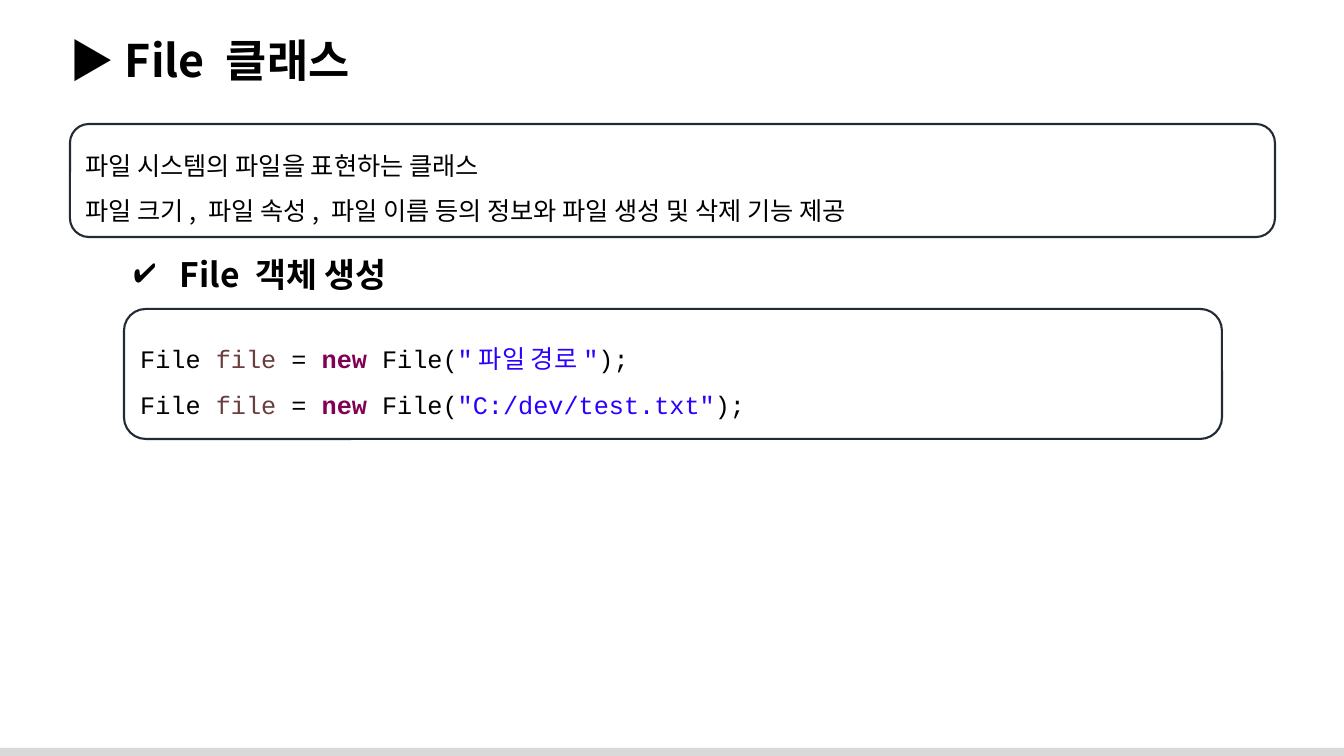
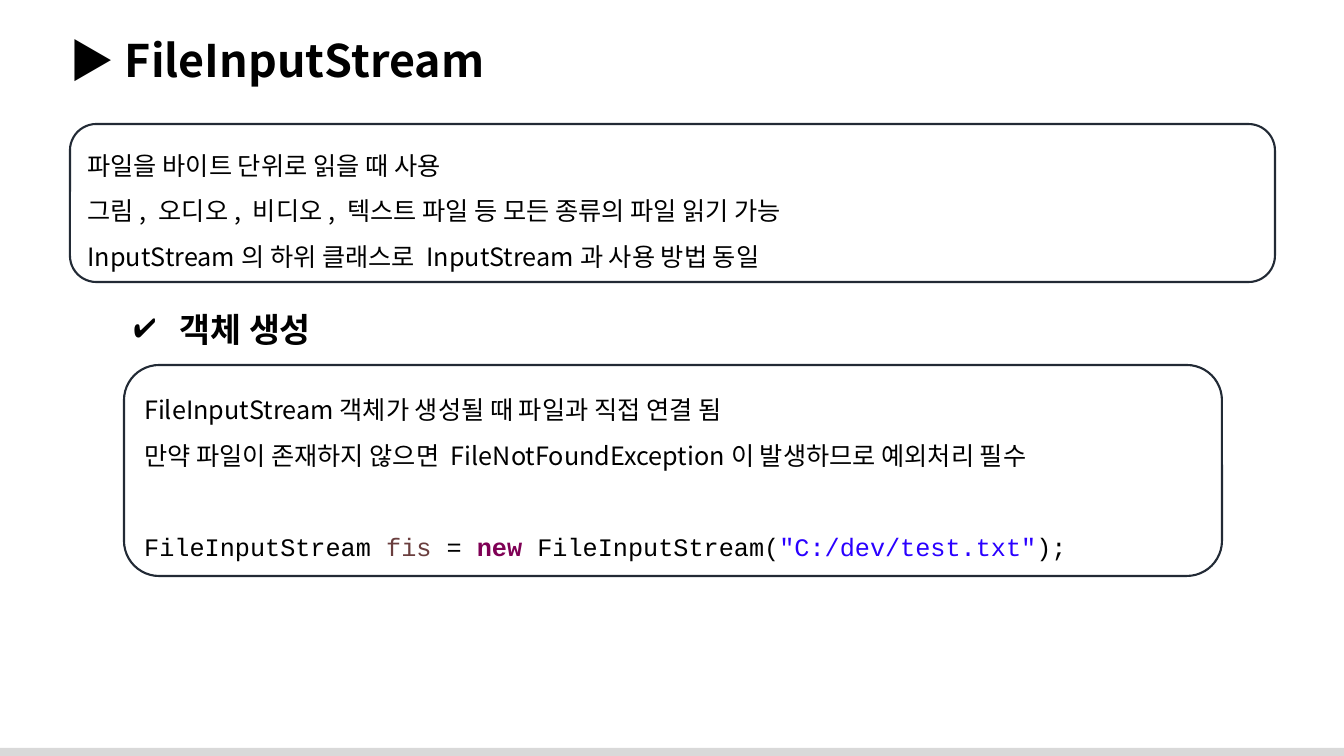
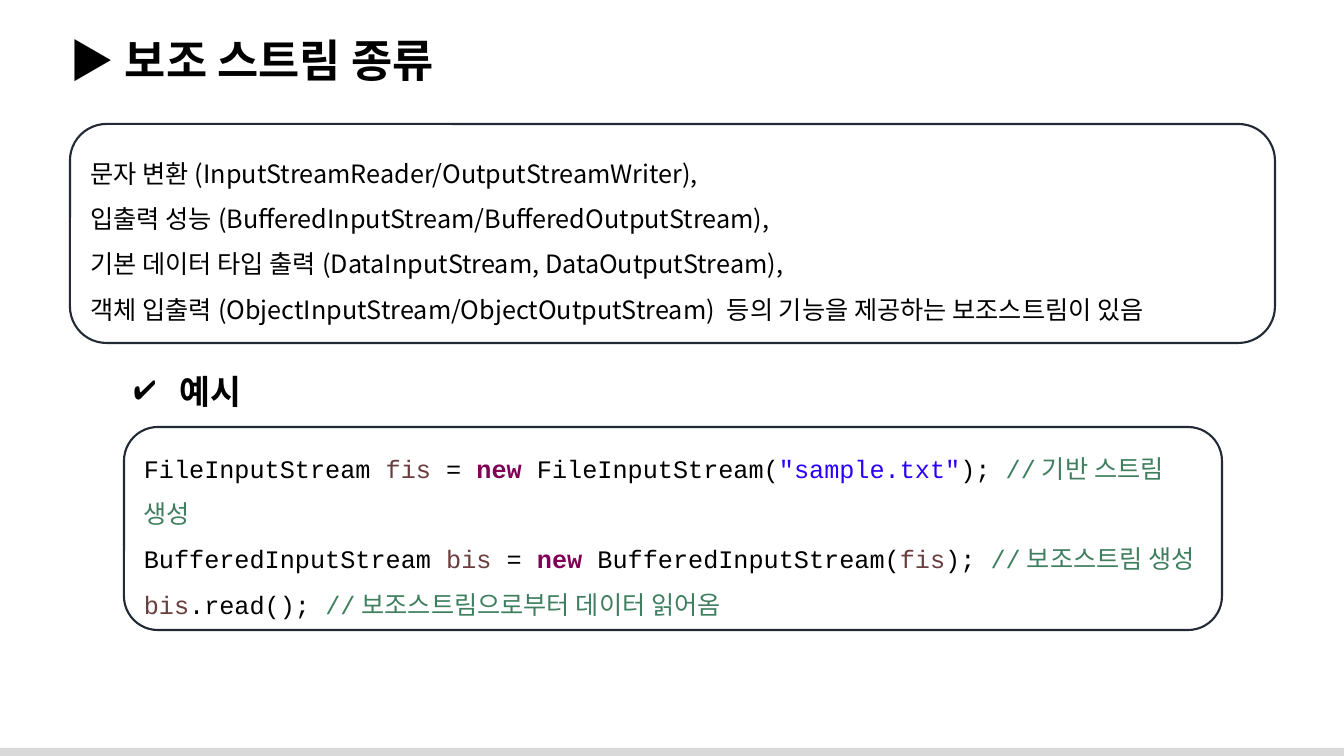
from lxml import etree
from pptx import Presentation
from pptx.dml.color import RGBColor
from pptx.enum.shapes import MSO_SHAPE as Preset
from pptx.enum.text import MSO_ANCHOR as Anchor, MSO_AUTO_SIZE as AutoSize, PP_ALIGN as Align
from pptx.oxml.ns import qn
from pptx.util import Pt

BLACK = RGBColor(0x00, 0x00, 0x00)
BORDER = RGBColor(0x22, 0x2A, 0x35)
BAND = RGBColor(0xD9, 0xD9, 0xD9)
VARIABLE = RGBColor(0x6A, 0x3E, 0x3E)
KEYWORD = RGBColor(0x7F, 0x00, 0x55)
STRING = RGBColor(0x2A, 0x00, 0xFF)
COMMENT = RGBColor(0x3F, 0x7F, 0x5F)
SANS, MONO = "Noto Sans CJK KR", "Courier New"

WIDTH, HEIGHT = 1344, 756
SCALE = 12192000 / WIDTH


def px(*lengths):
    return [round(length * SCALE) for length in lengths]


def write(frame, lines, size=18, bold=False, spacing=None, bullet=None):
    """A string is a line of prose; a list of (text, colour) is a line of code."""
    frame.word_wrap = True
    for index, line in enumerate(lines):
        para = frame.paragraphs[0] if index == 0 else frame.add_paragraph()
        para.alignment = Align.LEFT
        is_code = isinstance(line, list)
        if spacing:
            para.line_spacing = spacing
        if is_code and index and isinstance(lines[index - 1], str):
            para.space_before = Pt(33)
        if bullet:
            props = para._p.get_or_add_pPr()
            indent, = px(38)
            props.set("marL", str(indent))
            props.set("indent", str(-indent))
            etree.SubElement(props, qn("a:buChar")).set("char", bullet)
        for text, color in line if is_code else [(line, BLACK)]:
            span = para.add_run()
            span.text = text
            font = span.font
            font.name = MONO if is_code else SANS
            font.size = Pt(size)
            font.bold = bold or color == KEYWORD
            font.color.rgb = color
            etree.SubElement(font._element, qn("a:ea")).set("typeface", SANS)


# Content: title, summary, heading and detail with their places
NEW = ("new ", KEYWORD)
EQUALS = (" = ", BLACK)
FIS = ("fis", VARIABLE)
BIS = ("bis", VARIABLE)
TEST_FILE = '"C:/dev/test.txt"'

pages = [
    dict(
        title="▶ File 클래스",
        summary=["파일 시스템의 파일을 표현하는 클래스",
                 "파일 크기, 파일 속성, 파일 이름 등의 정보와 파일 생성 및 삭제 기능 제공"],
        summary_height=113,
        heading=" File 객체 생성", heading_top=249, heading_width=285,
        detail=[[("File ", BLACK), ("file", VARIABLE), EQUALS, NEW, ("File(", BLACK),
                 (location, STRING), (");", BLACK)]
                for location in ('"파일 경로"', TEST_FILE)],
        detail_top=309, detail_height=130,
    ),
    dict(
        title="▶ FileInputStream",
        summary=["파일을 바이트 단위로 읽을 때 사용",
                 "그림, 오디오, 비디오, 텍스트 파일 등 모든 종류의 파일 읽기 가능",
                 "InputStream의 하위 클래스로 InputStream과 사용 방법 동일"],
        summary_height=158,
        heading=" 객체 생성", heading_top=304, heading_width=219,
        detail=["FileInputStream객체가 생성될 때 파일과 직접 연결 됨",
                "만약 파일이 존재하지 않으면 FileNotFoundException이 발생하므로 예외처리 필수",
                [("FileInputStream ", BLACK), FIS, EQUALS, NEW, ("FileInputStream(", BLACK),
                 (TEST_FILE, STRING), (");", BLACK)]],
        detail_top=365, detail_height=211,
    ),
    dict(
        title="▶ 보조 스트림 종류",
        summary=["문자 변환(InputStreamReader/OutputStreamWriter),",
                 "입출력 성능(BufferedInputStream/BufferedOutputStream),",
                 "기본 데이터 타입 출력(DataInputStream, DataOutputStream),",
                 "객체 입출력(ObjectInputStream/ObjectOutputStream) 등의 기능을 제공하는 보조스트림이 있음"],
        summary_height=219,
        heading=" 예시", heading_top=366, heading_width=138,
        detail=[[("FileInputStream ", BLACK), FIS, EQUALS, NEW, ("FileInputStream(", BLACK),
                 ('"sample.txt"', STRING), ("); ", BLACK), ("//기반 스트림 생성", COMMENT)],
                [("BufferedInputStream ", BLACK), BIS, EQUALS, NEW,
                 ("BufferedInputStream(", BLACK), FIS, ("); ", BLACK),
                 ("//보조스트림 생성", COMMENT)],
                [BIS, (".read(); ", BLACK), ("//보조스트림으로부터 데이터 읽어옴", COMMENT)]],
        detail_top=427, detail_height=203,
    ),
]

deck = Presentation()
deck.slide_width, deck.slide_height = px(WIDTH, HEIGHT)

for page in pages:
    shapes = deck.slides.add_slide(deck.slide_layouts[6]).shapes

    # Bottom band
    band = shapes.add_shape(Preset.RECTANGLE, *px(0, 748, WIDTH, 8))
    band.shadow.inherit = False
    band.fill.solid()
    band.fill.fore_color.rgb = BAND
    band.line.fill.background()

    # Title and checked heading
    title = shapes.add_textbox(*px(60, 28, 1270, 65)).text_frame
    write(title, [page["title"]], size=32, bold=True)
    heading = shapes.add_textbox(
        *px(124, page["heading_top"], page["heading_width"], 50)).text_frame
    write(heading, [page["heading"]], size=24, bold=True, bullet="✔")
    for frame in (title, heading):
        frame.auto_size = AutoSize.SHAPE_TO_FIT_TEXT

    # Outlined summary and detail boxes
    for lines, place in (
        (page["summary"], (70, 124, 1205, page["summary_height"])),
        (page["detail"], (124, page["detail_top"], 1098, page["detail_height"])),
    ):
        box = shapes.add_shape(Preset.ROUNDED_RECTANGLE, *px(*place))
        box.shadow.inherit = False
        box.fill.background()
        box.line.color.rgb = BORDER
        box.line.width = Pt(1.5)
        box.text_frame.vertical_anchor = Anchor.MIDDLE
        write(box.text_frame, lines, spacing=1.5)

deck.save("out.pptx")
